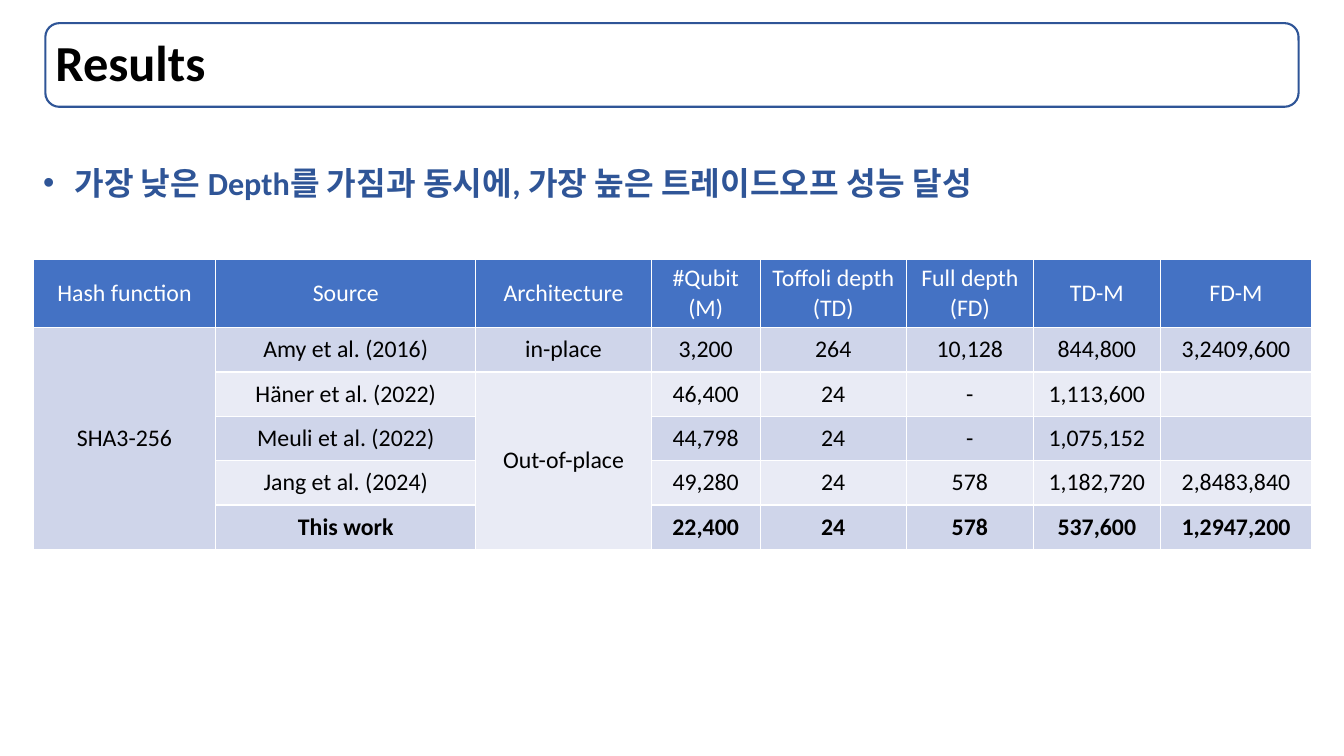
from lxml import etree
from pptx import Presentation
from pptx.dml.color import RGBColor
from pptx.enum.shapes import MSO_SHAPE
from pptx.enum.text import MSO_ANCHOR, MSO_AUTO_SIZE, PP_ALIGN
from pptx.oxml.ns import qn
from pptx.util import Inches, Pt

ROUNDED = MSO_SHAPE.ROUNDED_RECTANGLE
MIDDLE = MSO_ANCHOR.MIDDLE
LEFT, CENTER = PP_ALIGN.LEFT, PP_ALIGN.CENTER
GROW = MSO_AUTO_SIZE.SHAPE_TO_FIT_TEXT

FONT = "Calibri"
BLACK, WHITE, NAVY = "000000", "FFFFFF", "2F5597"
HEADER_FILL, BAND_FILLS = "4472C4", ("CFD5EA", "E9EBF5")

COLUMN_WIDTHS = (1.81, 2.58, 1.74, 1.08, 1.45, 1.26, 1.26, 1.5)
HEADER_HEIGHT, ROW_HEIGHT = 0.68, 0.44
RESULTS = (
    ("Hash function", "Source", "Architecture", "#Qubit (M)",
     "Toffoli depth (TD)", "Full depth (FD)", "TD-M", "FD-M"),
    ("SHA3-256", "Amy et al. (2016)", "in-place", "3,200", "264", "10,128",
     "844,800", "3,2409,600"),
    ("", "Häner et al. (2022)", "Out-of-place", "46,400", "24", "-",
     "1,113,600", ""),
    ("", "Meuli et al. (2022)", "", "44,798", "24", "-", "1,075,152", ""),
    ("", "Jang et al. (2024)", "", "49,280", "24", "578", "1,182,720",
     "2,8483,840"),
    ("", "This work", "", "22,400", "24", "578", "537,600", "1,2947,200"),
)
LAST_ROW = len(RESULTS) - 1
MERGES = (((1, 0), (LAST_ROW, 0)), ((2, 2), (LAST_ROW, 2)))


def color(value):
    return RGBColor.from_string(value)


def write(frame, text, size, ink=BLACK, bold=False, align=LEFT, spacing=None):
    para = frame.paragraphs[0]
    para.alignment = align
    para.line_spacing = spacing
    span = para.add_run()
    span.text = text
    span.font.name = FONT
    span.font.size = Pt(size)
    span.font.bold = bold
    span.font.color.rgb = color(ink)
    return para


def add_bullet(para, indent):
    properties = para._p.get_or_add_pPr()
    properties.set("marL", str(Inches(indent)))
    properties.set("indent", str(-Inches(indent)))
    etree.SubElement(properties, qn("a:buFont")).set("typeface", "Arial")
    etree.SubElement(properties, qn("a:buChar")).set("char", "•")


def add_title(page, text, left, top, width, height):
    box = page.shapes.add_shape(ROUNDED, Inches(left), Inches(top),
                                Inches(width), Inches(height))
    box.shadow.inherit = False
    box.fill.background()
    box.line.color.rgb = color(NAVY)
    box.line.width = Pt(1.5)
    frame = box.text_frame
    frame.vertical_anchor = MIDDLE
    frame.margin_left = Inches(0.06)
    write(frame, text, 36, bold=True, spacing=0.9)


def add_key_message(page, text, left, top, width, height):
    box = page.shapes.add_textbox(Inches(left), Inches(top),
                                  Inches(width), Inches(height))
    frame = box.text_frame
    frame.word_wrap = False
    frame.auto_size = GROW
    add_bullet(write(frame, text, 23, ink=NAVY, bold=True), 0.31)


def add_results_table(page, left, top):
    height = HEADER_HEIGHT + LAST_ROW * ROW_HEIGHT
    table = page.shapes.add_table(
        len(RESULTS), len(COLUMN_WIDTHS), Inches(left), Inches(top),
        Inches(sum(COLUMN_WIDTHS)), Inches(height)).table
    for column, width in zip(table.columns, COLUMN_WIDTHS):
        column.width = Inches(width)
    for row, values in enumerate(RESULTS):
        is_header = row == 0
        table.rows[row].height = Inches(HEADER_HEIGHT if is_header else ROW_HEIGHT)
        for column, value in enumerate(values):
            cell = table.cell(row, column)
            cell.vertical_anchor = MIDDLE
            cell.fill.solid()
            cell.fill.fore_color.rgb = color(
                HEADER_FILL if is_header else BAND_FILLS[(row - 1) % 2])
            if value:
                write(cell.text_frame, value, 17, align=CENTER,
                      ink=WHITE if is_header else BLACK, bold=row == LAST_ROW)
    for first, last in MERGES:
        table.cell(*first).merge(table.cell(*last))


def main():
    deck = Presentation()
    deck.slide_width, deck.slide_height = Inches(13.33), Inches(7.5)
    page = deck.slides.add_slide(deck.slide_layouts[6])
    add_title(page, "Results", 0.45, 0.23, 12.43, 0.83)
    add_results_table(page, 0.33, 2.57)
    add_key_message(page, "가장 낮은 Depth를 가짐과 동시에, 가장 높은 트레이드오프 성능 달성",
                    0.33, 1.57, 10.16, 0.49)
    deck.save("out.pptx")


if __name__ == "__main__":
    main()
